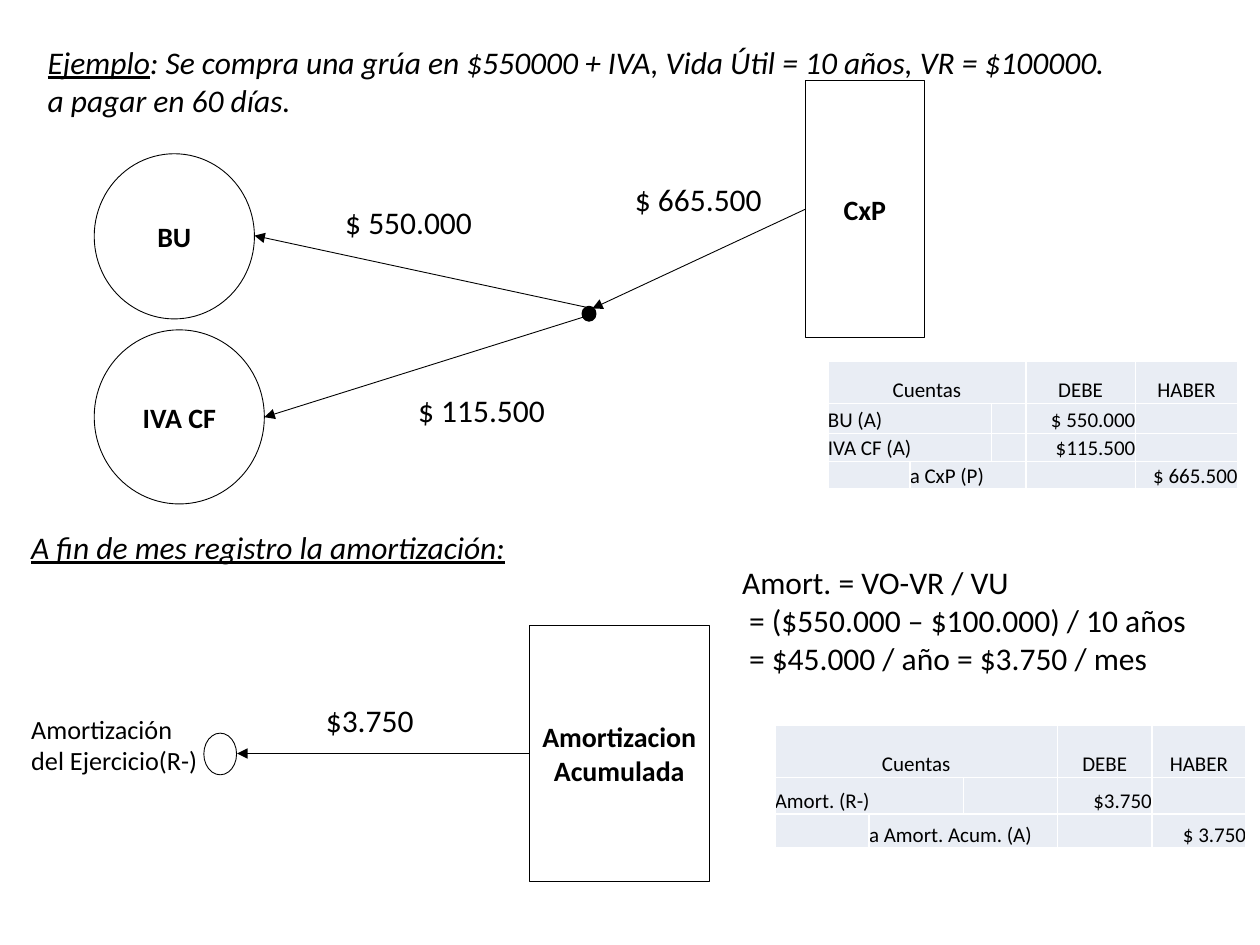
from dataclasses import dataclass
from typing import NamedTuple, Optional

from lxml import etree
from pptx import Presentation
from pptx import util as u
from pptx.dml.color import RGBColor
from pptx.enum import shapes, text
from pptx.oxml import ns


@dataclass(frozen=True)
class Theme:
    font: str = "Calibri"
    ink: RGBColor = RGBColor(0, 0, 0)
    cell: RGBColor = RGBColor(0xE9, 0xED, 0xF4)
    border: str = "FFFFFF"
    body: int = 18
    node: int = 16
    note: int = 15
    table: int = 12
    thin: float = 0.5


THEME = Theme()
ALIGN = text.PP_ALIGN


class Box(NamedTuple):
    """Left, top, width and height in centimetres."""
    left: float
    top: float
    width: float
    height: float

    def lengths(self) -> list:
        return [u.Cm(value) for value in self]


class Label(NamedTuple):
    lines: list
    box: Box
    size: int = THEME.body
    italic: bool = False
    wrap: bool = True
    underlined: str = ""
    hanging: float = 0


class Node(NamedTuple):
    caption: str
    kind: shapes.MSO_SHAPE
    box: Box
    weight: float = THEME.thin
    filled: bool = False


class Arrow(NamedTuple):
    start: tuple
    end: tuple
    source: Optional[str] = None


class Entry(NamedTuple):
    """One ledger cell, covering span columns."""
    row: int
    column: int
    words: str
    align: ALIGN = ALIGN.LEFT
    span: int = 1


class Ledger(NamedTuple):
    box: Box
    columns: list
    rows: list
    entries: list


HEADER = [Entry(0, 0, "Cuentas", ALIGN.CENTER, 3),
          Entry(0, 3, "DEBE", ALIGN.CENTER),
          Entry(0, 4, "HABER", ALIGN.CENTER)]

LABELS = [
    Label(["Ejemplo: Se compra una grúa en $550000 + IVA, Vida Útil = 10 años, VR = $100000.",
           "a pagar en 60 días."], Box(0.71, 0.74, 23.01, 1.8),
          italic=True, underlined="Ejemplo"),
    Label(["$ 115.500"], Box(8.18, 7.75, 3.1, 1.02), wrap=False),
    Label(["$ 550.000"], Box(6.71, 3.96, 3.1, 1.02), wrap=False),
    Label(["$ 665.500"], Box(12.55, 3.51, 3.1, 1.02), wrap=False),
    Label(["A fin de mes registro la amortización:"], Box(0.38, 10.52, 23.01, 1.02),
          italic=True, underlined="A fin de mes registro la amortización:"),
    Label(["$3.750"], Box(6.32, 14, 2.29, 1.02), wrap=False),
    Label(["Amortización del Ejercicio(R-)"], Box(0.38, 14.25, 4.06, 1.55), THEME.note),
    Label(["Amort. = VO-VR / VU",
           "= ($550.000 – $100.000) / 10 años",
           "= $45.000 / año = $3.750 / mes"], Box(14.71, 11.23, 12.7, 2.57), hanging=0.14),
]

OVAL, RECTANGLE = shapes.MSO_SHAPE.OVAL, shapes.MSO_SHAPE.RECTANGLE
NODES = [
    Node("IVA CF", OVAL, Box(1.9, 6.65, 3.43, 3.51)),
    Node("CxP", RECTANGLE, Box(16.23, 1.63, 2.41, 5.18)),
    Node("BU", OVAL, Box(1.9, 3.1, 3.23, 3.33)),
    Node("", OVAL, Box(11.76, 6.2, 0.23, 0.25), 2, True),
    Node("Amortizacion Acumulada", RECTANGLE, Box(10.67, 12.6, 3.63, 5.18)),
    Node("", OVAL, Box(4.11, 14.78, 0.66, 0.84)),
]

ARROWS = [
    Arrow((16.23, 4.22), (11.94, 6.22), "CxP"),
    Arrow((11.99, 6.32), (5.33, 8.41)),
    Arrow((11.94, 6.22), (5.13, 4.75)),
    Arrow((10.67, 15.19), (4.78, 15.19), "Amortizacion Acumulada"),
]

LEDGERS = [
    Ledger(Box(16.69, 7.29, 8.26, 2.57), [1.65, 1.65, 0.69, 2.21, 2.06],
           [0.84, 0.61, 0.56, 0.56],
           HEADER + [Entry(1, 0, "BU (A)", span=2), Entry(1, 3, "$ 550.000", ALIGN.RIGHT),
                     Entry(2, 0, "IVA CF (A)", span=2), Entry(2, 3, "$115.500", ALIGN.RIGHT),
                     Entry(3, 1, "a CxP (P)", span=2), Entry(3, 4, "$ 665.500", ALIGN.RIGHT)]),
    Ledger(Box(15.62, 14.63, 9.5, 2.47), [1.9] * 5, [1.04, 0.74, 0.69],
           HEADER + [Entry(1, 0, "Amort. (R-)", span=2), Entry(1, 3, "$3.750", ALIGN.RIGHT),
                     Entry(2, 1, "a Amort. Acum. (A)", span=2),
                     Entry(2, 4, "$ 3.750", ALIGN.RIGHT)]),
]


def style_font(font, size: int, bold: bool = False, italic: bool = False) -> None:
    font.name, font.size = THEME.font, u.Pt(size)
    font.bold, font.italic = bold, italic
    font.color.rgb = THEME.ink


def add_label(page, label: Label) -> None:
    frame = page.shapes.add_textbox(*label.box.lengths()).text_frame
    frame.word_wrap = label.wrap
    frame.auto_size = text.MSO_AUTO_SIZE.SHAPE_TO_FIT_TEXT
    for number, line in enumerate(label.lines):
        para = frame.add_paragraph() if number else frame.paragraphs[0]
        if number and label.hanging:
            para._p.get_or_add_pPr().set("marL", str(u.Cm(label.hanging)))
        if label.underlined and line.startswith(label.underlined):
            span = para.add_run()
            span.text, span.font.underline = label.underlined, True
            line = line[len(label.underlined):]
        if line:
            para.add_run().text = line
        style_font(para.font, label.size, italic=label.italic)


def add_node(page, node: Node):
    shape = page.shapes.add_shape(node.kind, *node.box.lengths())
    shape.shadow.inherit = False
    if node.filled:
        shape.fill.solid()
        shape.fill.fore_color.rgb = THEME.ink
    else:
        shape.fill.background()
    shape.line.color.rgb, shape.line.width = THEME.ink, u.Pt(node.weight)
    if node.caption:
        shape.text_frame.text = node.caption
        para = shape.text_frame.paragraphs[0]
        para.alignment = ALIGN.CENTER
        style_font(para.font, THEME.node, bold=True)
    return shape


def add_arrow(page, arrow: Arrow, nodes: dict) -> None:
    ends = [u.Cm(value) for value in arrow.start + arrow.end]
    line = page.shapes.add_connector(shapes.MSO_CONNECTOR.STRAIGHT, *ends)
    if arrow.source:
        line.begin_connect(nodes[arrow.source], 1)
    line.line.color.rgb, line.line.width = THEME.ink, u.Pt(THEME.thin)
    etree.SubElement(line.line._get_or_add_ln(), ns.qn("a:tailEnd"), type="triangle")
    etree.SubElement(line._element.spPr, ns.qn("a:effectLst"))


def format_cell(cell) -> None:
    cell.margin_left = cell.margin_right = cell.margin_top = cell.margin_bottom = 0
    cell.vertical_anchor = text.MSO_ANCHOR.BOTTOM
    properties = cell._tc.get_or_add_tcPr()
    for side in ("lnL", "lnR", "lnT", "lnB"):
        border = etree.SubElement(properties, ns.qn(f"a:{side}"), w=str(u.Pt(1)))
        paint = etree.SubElement(border, ns.qn("a:solidFill"))
        etree.SubElement(paint, ns.qn("a:srgbClr"), val=THEME.border)
    cell.fill.solid()
    cell.fill.fore_color.rgb = THEME.cell
    style_font(cell.text_frame.paragraphs[0].font, THEME.table)


def add_ledger(page, ledger: Ledger) -> None:
    table = page.shapes.add_table(len(ledger.rows), len(ledger.columns),
                                  *ledger.box.lengths()).table
    table.first_row = table.horz_banding = False
    for column, width in zip(table.columns, ledger.columns):
        column.width = u.Cm(width)
    for row, height in zip(table.rows, ledger.rows):
        row.height = u.Cm(height)
    for cell in table.iter_cells():
        format_cell(cell)
    for entry in ledger.entries:
        cell = table.cell(entry.row, entry.column)
        if entry.span > 1:
            cell.merge(table.cell(entry.row, entry.column + entry.span - 1))
        para = cell.text_frame.paragraphs[0]
        para.add_run().text = entry.words
        para.alignment = entry.align


def main() -> None:
    deck = Presentation()
    deck.slide_width, deck.slide_height = u.Cm(25.4), u.Cm(19.05)
    page = deck.slides.add_slide(deck.slide_layouts[6])
    nodes = {node.caption: add_node(page, node) for node in NODES}
    for arrow in ARROWS:
        add_arrow(page, arrow, nodes)
    for label in LABELS:
        add_label(page, label)
    for ledger in LEDGERS:
        add_ledger(page, ledger)
    deck.save("out.pptx")


if __name__ == "__main__":
    main()
